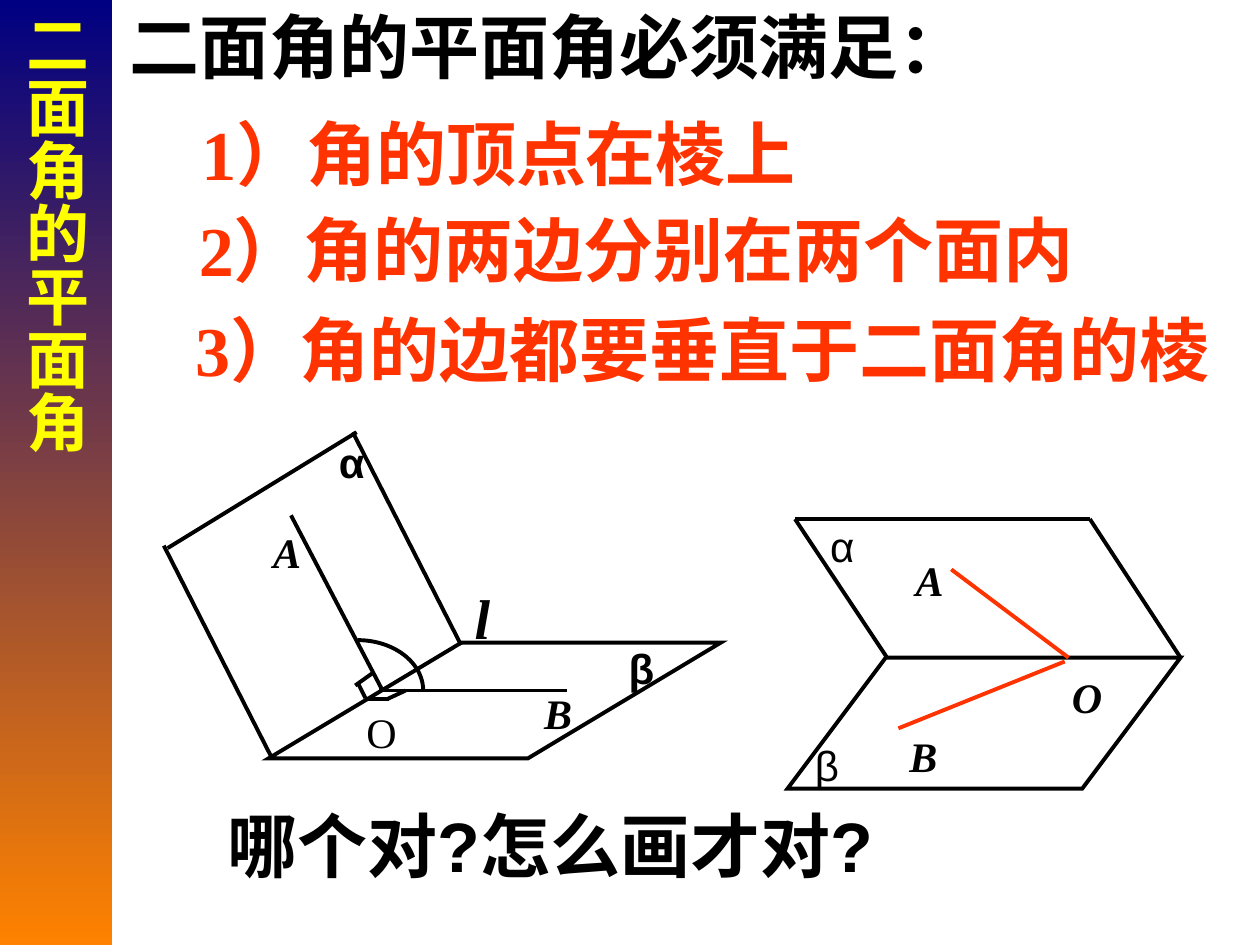
from dataclasses import dataclass

from lxml.etree import SubElement
from pptx import Presentation
from pptx.dml.color import RGBColor
from pptx.enum.shapes import MSO_CONNECTOR as Connector, MSO_SHAPE as Preset
from pptx.enum.text import MSO_ANCHOR as Anchor, PP_ALIGN as Align
from pptx.oxml.ns import qn
from pptx.util import Pt


@dataclass(frozen=True)
class Theme:
    black: str = "000000"
    red: str = "FF3300"
    yellow: str = "FFFF00"
    band_top: str = "000082"
    band_bottom: str = "FF8200"
    serif: str = "Times New Roman"
    sans: str = "Arial"
    heading: float = 40
    band_text: float = 36
    edge_label: float = 32
    label: float = 24
    stroke: float = 2.25
    hairline: float = 0.75


THEME = Theme()
BOLD_ITALIC = dict(bold=True, italic=True)


def write(para, text, size, color=THEME.black, font=THEME.serif, bold=False, italic=False):
    span = para.add_run()
    span.text = text
    span.font.name, span.font.size = font, Pt(size)
    span.font.bold, span.font.italic = bold, italic
    span.font.color.rgb = RGBColor.from_string(color)


def add_text(shapes, text, left, top, width, height=36, size=THEME.label, **style):
    box = shapes.add_textbox(Pt(left), Pt(top), Pt(width), Pt(height))
    box.text_frame.word_wrap = False
    write(box.text_frame.paragraphs[0], text, size, **style)


def set_stroke(line, color=THEME.black, weight=THEME.stroke):
    line.color.rgb = RGBColor.from_string(color)
    line.width = Pt(weight)
    SubElement(line._get_or_add_ln(), qn("a:miter"), lim="800000")


def add_line(shapes, start, end, **stroke):
    line = shapes.add_connector(Connector.STRAIGHT, *map(Pt, start + end))
    set_stroke(line.line, **stroke)
    SubElement(line._element.spPr, qn("a:effectLst"))


def add_outline(shapes, preset, left, top, width, height, slant=None):
    shape = shapes.add_shape(preset, Pt(left), Pt(top), Pt(width), Pt(height))
    shape.shadow.inherit = False
    shape.fill.background()
    set_stroke(shape.line)
    if slant is not None:
        shape.adjustments[0] = slant


def add_band(page, text):
    band = page.shapes.add_shape(Preset.RECTANGLE, 0, 0, Pt(64), Pt(540))
    band.shadow.inherit = False
    band.line.fill.background()
    band.fill.gradient()
    band.fill.gradient_angle = 270
    for stop, color in zip(band.fill.gradient_stops, (THEME.band_top, THEME.band_bottom)):
        stop.color.rgb = RGBColor.from_string(color)
    frame = band.text_frame
    frame._txBody.bodyPr.set("vert", "eaVert")
    frame.vertical_anchor = Anchor.MIDDLE
    frame.margin_left = frame.margin_right = Pt(3.6)
    frame.margin_top = frame.margin_bottom = Pt(7.2)
    para = frame.paragraphs[0]
    para.alignment = Align.CENTER
    write(para, text, THEME.band_text, color=THEME.yellow, bold=True)


def add_left_figure(page):
    shapes = page.shapes.add_group_shape().shapes
    # Angle arc and the lower plane
    add_outline(shapes, Preset.ARC, 167, 365.8, 74.9, 57.6)
    add_outline(shapes, Preset.PARALLELOGRAM, 153.4, 367.2, 258.5, 66.2, slant=1.666)
    for start, end in (
        # Sides of the angle
        ((218.2, 394.6), (324, 394.6)),
        ((218.2, 393.8), (166.3, 294.5)),
        # Right-angle marks
        ((208.8, 399.6), (222.5, 399.6)),
        ((221, 399.6), (231.8, 394.6)),
        ((213.1, 384.5), (203, 391.7)),
        ((204.5, 390.2), (208.8, 398.9)),
        # Upper plane
        ((155.5, 433.4), (93.6, 311.8)),
        ((263.5, 368.6), (201.6, 247)),
        ((95.8, 313.2), (203.8, 247)),
    ):
        add_line(shapes, start, end)
    add_line(shapes, (216.7, 390.2), (216.7, 395.3), weight=THEME.hairline)
    # Labels
    add_text(shapes, "α", 186.5, 246.2, 29.5, font=THEME.sans, bold=True)
    add_text(shapes, "β", 352.1, 363.6, 27.4, font=THEME.sans, bold=True)
    add_text(shapes, "l", 264.2, 329.8, 23, 46, size=THEME.edge_label, **BOLD_ITALIC)
    add_text(shapes, "O", 202.3, 400.3, 31.7)
    add_text(shapes, "A", 149, 297.4, 30.2, **BOLD_ITALIC)
    add_text(shapes, "B", 303.8, 389.5, 30.2, **BOLD_ITALIC)


def add_right_figure(page):
    shapes = page.shapes.add_group_shape().shapes
    # Lower plane, then the three free edges of the upper one
    add_outline(shapes, Preset.PARALLELOGRAM, 450, 375.8, 224.6, 74.9, slant=0.75)
    upper_left, upper_right = (454.3, 296.6), (622.8, 296.6)
    add_line(shapes, upper_left, upper_right)
    add_line(shapes, upper_left, (506.9, 375.8))
    add_line(shapes, upper_right, (674.6, 375.8))
    # Sides of the angle
    add_line(shapes, (543.6, 325.4), (610.6, 375.8), color=THEME.red)
    add_line(shapes, (608.4, 378), (513.4, 416.2), color=THEME.red)
    # Labels
    add_text(shapes, "α", 467.3, 293.8, 29.5, font=THEME.sans)
    add_text(shapes, "β", 458.6, 419, 27.4, font=THEME.sans)
    for name, left, top, width in (
        ("A", 516.2, 313.2, 30.2),
        ("O", 605.5, 380.2, 31.7),
        ("B", 512.6, 414, 30.2),
    ):
        add_text(shapes, name, left, top, width, **BOLD_ITALIC)


def main():
    deck = Presentation()
    deck.slide_width, deck.slide_height = Pt(720), Pt(540)
    page = deck.slides.add_slide(deck.slide_layouts[6])

    # Heading, conditions and closing question
    for text, left, top, width, color, font in (
        ("二面角的平面角必须满足：", 67, -1.4, 494, THEME.black, THEME.serif),
        ("1）角的顶点在棱上", 108, 59.8, 363.6, THEME.red, THEME.serif),
        ("2）角的两边分别在两个面内", 106.6, 114.5, 523.4, THEME.red, THEME.serif),
        ("3）角的边都要垂直于二面角的棱", 104.4, 171.4, 603.4, THEME.red, THEME.serif),
        ("哪个对?怎么画才对?", 123.1, 455, 411.1, THEME.black, THEME.sans),
    ):
        add_text(page.shapes, text, left, top, width, 55.4, size=THEME.heading,
                 color=color, font=font, bold=True)

    # Figures and side band
    add_left_figure(page)
    add_right_figure(page)
    add_band(page, "二面角的平面角")
    deck.save("out.pptx")


if __name__ == "__main__":
    main()
